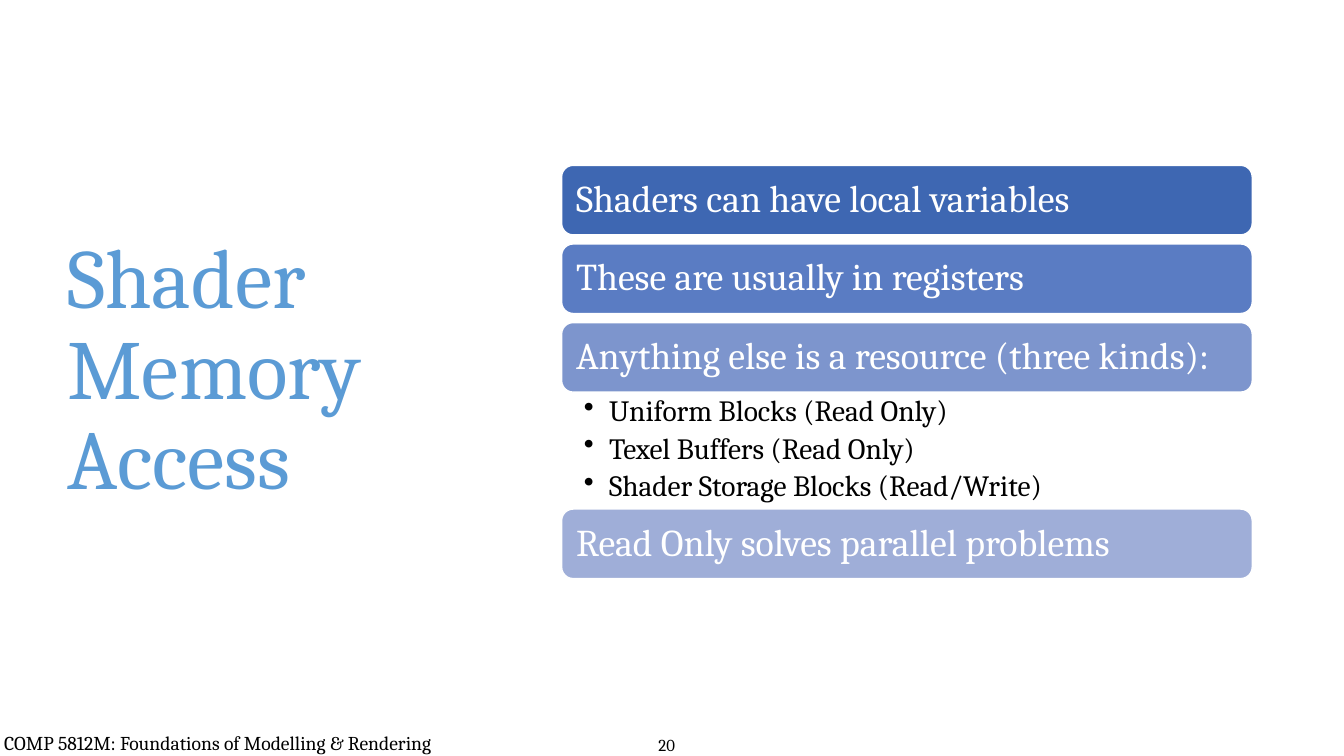
"""Build the Shader Memory Access slide."""
from dataclasses import dataclass

from lxml.etree import SubElement
from pptx import Presentation
from pptx.dml.color import RGBColor
from pptx.enum.shapes import MSO_SHAPE
from pptx.enum.text import MSO_ANCHOR
from pptx.oxml.ns import qn
from pptx.slide import Slide
from pptx.text.text import TextFrame, _Paragraph
from pptx.util import Inches, Pt

COLORS = {
    "title": "5B9BD5",
    "text": "000000",
    "white": "FFFFFF",
    "bar_1": "3E67B2",
    "bar_2": "5A7CC3",
    "bar_3": "7D95CD",
    "bar_4": "9FAED8",
}
FONT = "Cambria"
LIST_LEFT, LIST_TOP, LIST_WIDTH = 5.57, 1.64, 6.85
BAR_HEIGHT, BAR_GAP = 0.69, 0.09
BULLETS_HEIGHT = 1.16


@dataclass(frozen=True)
class Label:
    text: str
    left: float
    top: float
    width: float
    height: float
    size: float
    color: str
    line_spacing: float | Pt
    margins: tuple[float, float, float, float]
    anchor: MSO_ANCHOR = MSO_ANCHOR.TOP
    wrap: bool = True


@dataclass(frozen=True)
class Bar:
    text: str
    color: str
    bullets: tuple[str, ...] = ()


LABELS = (
    Label("COMP 5812M: Foundations of Modelling & Rendering", -0.02, 7.13, 6.31, 0.39,
          14, "text", Pt(21), (0.06, 0.06, 0.06, 0.06)),
    Label("20", 6.49, 7.19, 0.35, 0.33, 12, "text", Pt(19),
          (0.04, 0.04, 0.04, 0.04), MSO_ANCHOR.MIDDLE, False),
    Label("Shader Memory Access", 0.57, 0.68, 4.16, 6.02, 60, "title", 0.9,
          (0.1, 0.05, 0.1, 0.05), MSO_ANCHOR.MIDDLE),
)
BARS = (
    Bar("Shaders can have local variables", "bar_1"),
    Bar("These are usually in registers", "bar_2"),
    Bar("Anything else is a resource (three kinds):", "bar_3", (
        "Uniform Blocks (Read Only)",
        "Texel Buffers (Read Only)",
        "Shader Storage Blocks (Read/Write)",
    )),
    Bar("Read Only solves parallel problems", "bar_4"),
)


def rgb(name: str) -> RGBColor:
    return RGBColor.from_string(COLORS[name])


def set_frame(frame: TextFrame, margins: tuple[float, float, float, float],
              anchor: MSO_ANCHOR, wrap: bool = True) -> None:
    left, top, right, bottom = margins
    frame.margin_left, frame.margin_top = Inches(left), Inches(top)
    frame.margin_right, frame.margin_bottom = Inches(right), Inches(bottom)
    frame.vertical_anchor = anchor
    frame.word_wrap = wrap


def style_paragraph(paragraph: _Paragraph, size: float, color: str,
                    line_spacing: float | Pt = 0.9) -> None:
    paragraph.line_spacing = line_spacing
    for run in paragraph.runs:
        run.font.name = FONT
        run.font.size = Pt(size)
        run.font.color.rgb = rgb(color)


def add_label(slide: Slide, label: Label) -> None:
    box = slide.shapes.add_textbox(Inches(label.left), Inches(label.top),
                                   Inches(label.width), Inches(label.height))
    frame = box.text_frame
    set_frame(frame, label.margins, label.anchor, label.wrap)
    frame.text = label.text
    style_paragraph(frame.paragraphs[0], label.size, label.color, label.line_spacing)


def add_bar(slide: Slide, bar: Bar, top: float) -> None:
    shape = slide.shapes.add_shape(MSO_SHAPE.ROUNDED_RECTANGLE, Inches(LIST_LEFT), Inches(top),
                                   Inches(LIST_WIDTH), Inches(BAR_HEIGHT))
    shape.shadow.inherit = False
    shape.fill.solid()
    shape.fill.fore_color.rgb = rgb(bar.color)
    shape.line.color.rgb = rgb("white")
    shape.line.width = Pt(1)
    frame = shape.text_frame
    set_frame(frame, (0.11, 0.11, 0.11, 0.11), MSO_ANCHOR.MIDDLE)
    frame.text = bar.text
    paragraph = frame.paragraphs[0]
    paragraph.alignment = 1
    style_paragraph(paragraph, 27, "white")


def add_bullets(slide: Slide, bullets: tuple[str, ...], top: float) -> None:
    box = slide.shapes.add_textbox(Inches(LIST_LEFT), Inches(top),
                                   Inches(LIST_WIDTH), Inches(BULLETS_HEIGHT))
    frame = box.text_frame
    set_frame(frame, (0.22, 0.04, 0.21, 0.04), MSO_ANCHOR.TOP)
    frame.text = "\n".join(bullets)
    for paragraph in frame.paragraphs:
        paragraph.level = 1
        paragraph.space_after = Pt(4.2)
        style_paragraph(paragraph, 21, "text")
        properties = paragraph._p.get_or_add_pPr()
        properties.set("marL", str(Inches(0.25)))
        properties.set("indent", str(-Inches(0.25)))
        SubElement(properties, qn("a:buChar"), char="•")


def main() -> None:
    presentation = Presentation()
    presentation.slide_width, presentation.slide_height = Inches(13.33), Inches(7.5)
    slide = presentation.slides.add_slide(presentation.slide_layouts[6])
    for label in LABELS:
        add_label(slide, label)
    top = LIST_TOP
    for bar in BARS:
        add_bar(slide, bar, top)
        top += BAR_HEIGHT
        if bar.bullets:
            add_bullets(slide, bar.bullets, top)
            top += BULLETS_HEIGHT
        else:
            top += BAR_GAP
    presentation.save("out.pptx")


if __name__ == "__main__":
    main()
